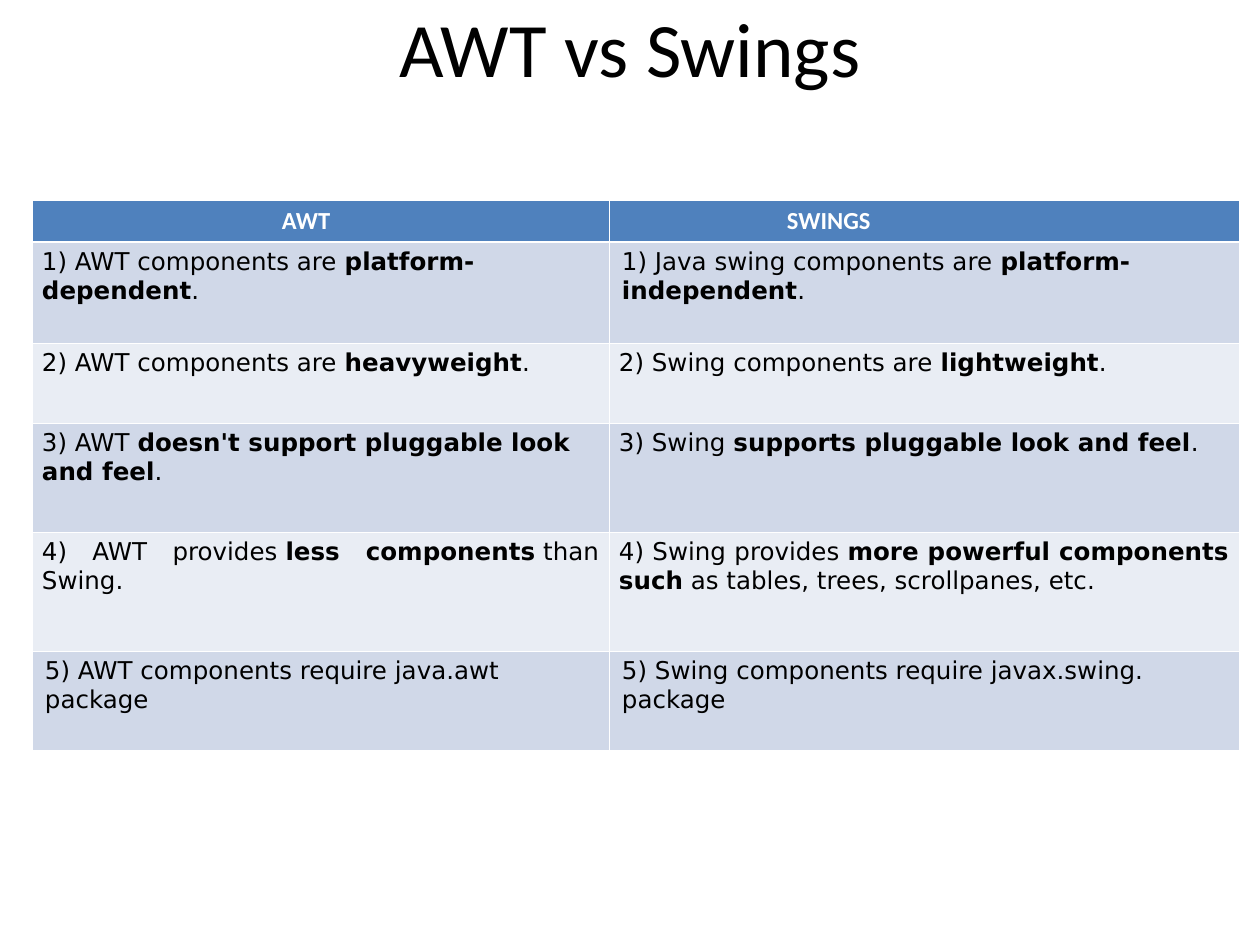
from pptx import Presentation
from pptx.dml.color import RGBColor
from pptx.enum.text import MSO_ANCHOR, PP_ALIGN
from pptx.oxml.ns import qn
from pptx.util import Emu, Pt
from lxml import etree

CENTER, JUSTIFY = PP_ALIGN.CENTER, PP_ALIGN.JUSTIFY
MIDDLE = MSO_ANCHOR.MIDDLE
TITLE_ONLY = 5
NBSP = chr(160)
COLORS = {"text": "000000", "white": "FFFFFF", "header": "4F81BD",
          "odd": "D0D8E8", "even": "E9EDF4"}
HEADING, BODY = "Calibri", "DejaVu Sans"

COL_WIDTHS = [577, 630]
ROW_HEIGHTS = [42, 101, 80, 109, 119, 100]
HEADERS = [("AWT", 250), ("SWINGS", 178)]  # label, left inset
NARROW, WIDE = 10, 13  # cell side insets
# "|" switches bold on and off, "~" is a non-breaking space
ROWS = [
    (("1) AWT components are~|platform-dependent|.", NARROW),
     ("1) Java swing components are~|platform-independent|.", WIDE)),
    (("2) AWT components are~|heavyweight|.", NARROW),
     ("2) Swing components are~|lightweight|.", NARROW)),
    (("3) AWT~|doesn't support pluggable look and feel|.", NARROW),
     ("3) Swing~|supports pluggable look and feel|.", NARROW)),
    (("4) AWT provides~|less components|~than Swing.", NARROW),
     ("4) Swing provides~|more powerful components such|"
      " as tables, trees, scrollpanes, etc.", NARROW)),
    (("5) AWT components require java.awt package", WIDE),
     ("5) Swing components require javax.swing. package", WIDE)),
]
JUSTIFIED_ROW = 4


def px(n):
    return Emu(round(n * 914400 / 126))


def rgb(name):
    return RGBColor.from_string(COLORS[name])


def style_run(r, font, size, color, bold=False):
    r.font.name = font
    r.font.size = Pt(size)
    r.font.bold = bold
    r.font.color.rgb = rgb(color)


def add_title(s, text):
    sp = s.shapes.title
    sp.left, sp.top, sp.width, sp.height = px(63), px(-32), px(1134), px(158)
    tf = sp.text_frame
    tf.text = text
    tf.vertical_anchor = MIDDLE
    p = tf.paragraphs[0]
    p.alignment = CENTER
    style_run(p.runs[0], HEADING, 44, "text")


def set_borders(cell, top=0.45, bottom=0.45):
    tcPr = cell._tc.get_or_add_tcPr()
    sides = [("lnL", 0.45), ("lnR", 0.45), ("lnT", top), ("lnB", bottom)]
    for i, (side, width) in enumerate(sides):
        ln = etree.Element(qn("a:" + side), w=str(Pt(width)))
        fill = etree.SubElement(ln, qn("a:solidFill"))
        etree.SubElement(fill, qn("a:srgbClr"), val=COLORS["white"])
        tcPr.insert(i, ln)


def format_cell(cell, fill, left, right):
    cell.fill.solid()
    cell.fill.fore_color.rgb = rgb(fill)
    cell.margin_left, cell.margin_right = px(left), px(right)
    cell.margin_top = cell.margin_bottom = px(6)


def fill_header(cell, label, inset):
    format_cell(cell, "header", inset, WIDE)
    set_borders(cell, bottom=1.47)
    cell.text_frame.text = label
    style_run(cell.text_frame.paragraphs[0].runs[0], HEADING, 14, "white", True)


def fill_body(cell, row, text, inset):
    format_cell(cell, "odd" if row % 2 else "even", inset, inset)
    set_borders(cell, top=1.47 if row == 1 else 0.45)
    p = cell.text_frame.paragraphs[0]
    if row == JUSTIFIED_ROW:
        p.alignment = JUSTIFY
    for i, part in enumerate(text.replace("~", NBSP).split("|")):
        r = p.add_run()
        r.text = part
        style_run(r, BODY, 14, "text", bold=i % 2 == 1)


def add_comparison(s):
    table = s.shapes.add_table(
        len(ROW_HEIGHTS), len(COL_WIDTHS), px(32), px(200),
        px(sum(COL_WIDTHS)), px(sum(ROW_HEIGHTS))).table
    for col, width in zip(table.columns, COL_WIDTHS):
        col.width = px(width)
    for row, height in zip(table.rows, ROW_HEIGHTS):
        row.height = px(height)
    for c, (label, inset) in enumerate(HEADERS):
        fill_header(table.cell(0, c), label, inset)
    for r, entries in enumerate(ROWS, start=1):
        for c, (text, inset) in enumerate(entries):
            fill_body(table.cell(r, c), r, text, inset)


def main():
    prs = Presentation()
    prs.slide_width, prs.slide_height = px(1260), px(945)
    s = prs.slides.add_slide(prs.slide_layouts[TITLE_ONLY])
    add_title(s, "AWT vs Swings")
    add_comparison(s)
    prs.save("out.pptx")


if __name__ == "__main__":
    main()
